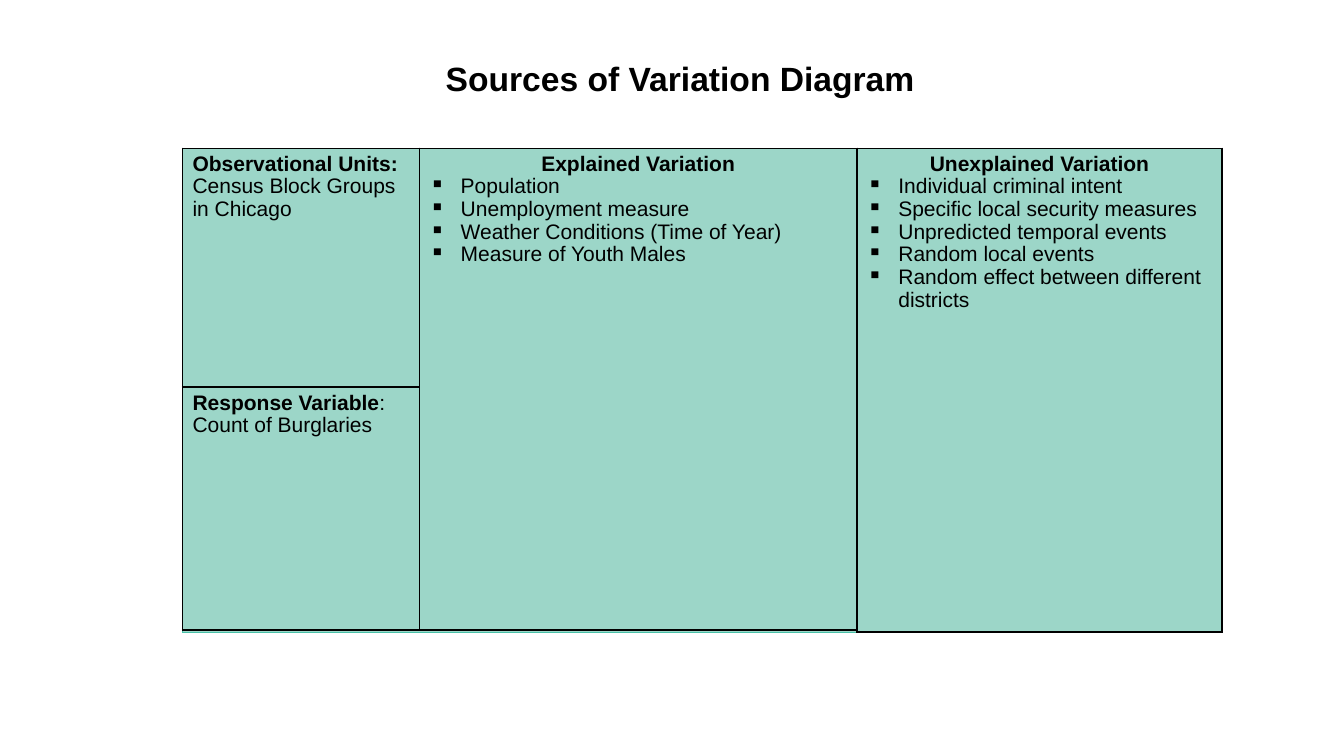
from lxml import etree
from pptx import Presentation
from pptx import util as u
from pptx.dml.color import RGBColor
from pptx.enum import text
from pptx.oxml import ns

PX = 9144  # 100 px to the inch


def color(value):
    return RGBColor.from_string(value)


def add_panel(slide, bounds, border, width, fill=None):
    """Add a one-cell table with an even border and return its cell."""
    table = slide.shapes.add_table(1, 1, *[n * PX for n in bounds]).table
    table.first_row = table.horz_banding = False
    cell = table.cell(0, 0)
    if fill:
        cell.fill.solid()
        cell.fill.fore_color.rgb = color(fill)
    else:
        cell.fill.background()
    props = cell._tc.get_or_add_tcPr()
    for index, side in enumerate(["lnL", "lnR", "lnT", "lnB"]):
        line = etree.Element(ns.qn(f"a:{side}"), w=str(u.Pt(width)))
        solid = etree.SubElement(line, ns.qn("a:solidFill"))
        etree.SubElement(solid, ns.qn("a:srgbClr"), val=border)
        props.insert(index, line)
    return cell


deck = Presentation()
deck.slide_width, deck.slide_height = 1333 * PX, 750 * PX
page = deck.slides.add_slide(deck.slide_layouts[6])

# Layout of the diagram
LEFT, TOP, HEIGHT = 181, 147, 480
UNITS_W, EXPLAINED_W, UNEXPLAINED_W = 235, 434, 362
UNITS_H, RESPONSE_H = 237, 241
EXPLAINED_X = LEFT + UNITS_W
UNEXPLAINED_X = EXPLAINED_X + EXPLAINED_W
TOTAL_W = UNITS_W + EXPLAINED_W + UNEXPLAINED_W

# Green backdrop
add_panel(page, (LEFT, TOP, TOTAL_W, HEIGHT), "49C0A8", 0.5, "9CD6C8")

# Panels: bounds, heading, heading suffix, lines, bulleted
panels = [
    ((EXPLAINED_X, TOP, EXPLAINED_W, UNITS_H + RESPONSE_H),
     "Explained Variation", "",
     ["Population", "Unemployment measure",
      "Weather Conditions (Time of Year)", "Measure of Youth Males"], True),
    ((UNEXPLAINED_X, TOP, UNEXPLAINED_W, HEIGHT),
     "Unexplained Variation", "",
     ["Individual criminal intent", "Specific local security measures",
      "Unpredicted temporal events", "Random local events",
      "Random effect between different districts"], True),
    ((LEFT, TOP + UNITS_H, UNITS_W, RESPONSE_H),
     "Response Variable", ":", ["Count of Burglaries"], False),
    ((LEFT, TOP, UNITS_W, UNITS_H),
     "Observational Units:", "", ["Census Block Groups in Chicago"], False),
]
for bounds, heading, suffix, lines, bulleted in panels:
    frame = add_panel(page, bounds, "000000", 1).text_frame
    frame.text = "\n".join([heading] + lines)
    if suffix:
        frame.paragraphs[0].add_run().text = suffix
    for row, para in enumerate(frame.paragraphs):
        para.line_spacing = 0.97
        for index, span in enumerate(para.runs):
            span.font.name = "Arial"
            span.font.size = u.Pt(15)
            span.font.bold = row == 0 and index == 0
            span.font.color.rgb = color("000000")
        if bulleted and row == 0:
            para.alignment = text.PP_ALIGN.CENTER
        elif bulleted:
            props = para._p.get_or_add_pPr()
            props.set("marL", str(31 * PX))
            props.set("indent", str(-31 * PX))
            etree.SubElement(props, ns.qn("a:buChar"), char="▪")

# Title
box = page.shapes.add_textbox(62 * PX, 53 * PX, 1225 * PX, 50 * PX)
box.text_frame.word_wrap = True
box.text_frame.auto_size = text.MSO_AUTO_SIZE.SHAPE_TO_FIT_TEXT
box.text_frame.text = "Sources of Variation Diagram"
para = box.text_frame.paragraphs[0]
para.alignment = text.PP_ALIGN.CENTER
span = para.runs[0]
span.font.name = "Arial"
span.font.size = u.Pt(24)
span.font.bold = True
span.font.color.rgb = color("000000")

deck.save("out.pptx")
